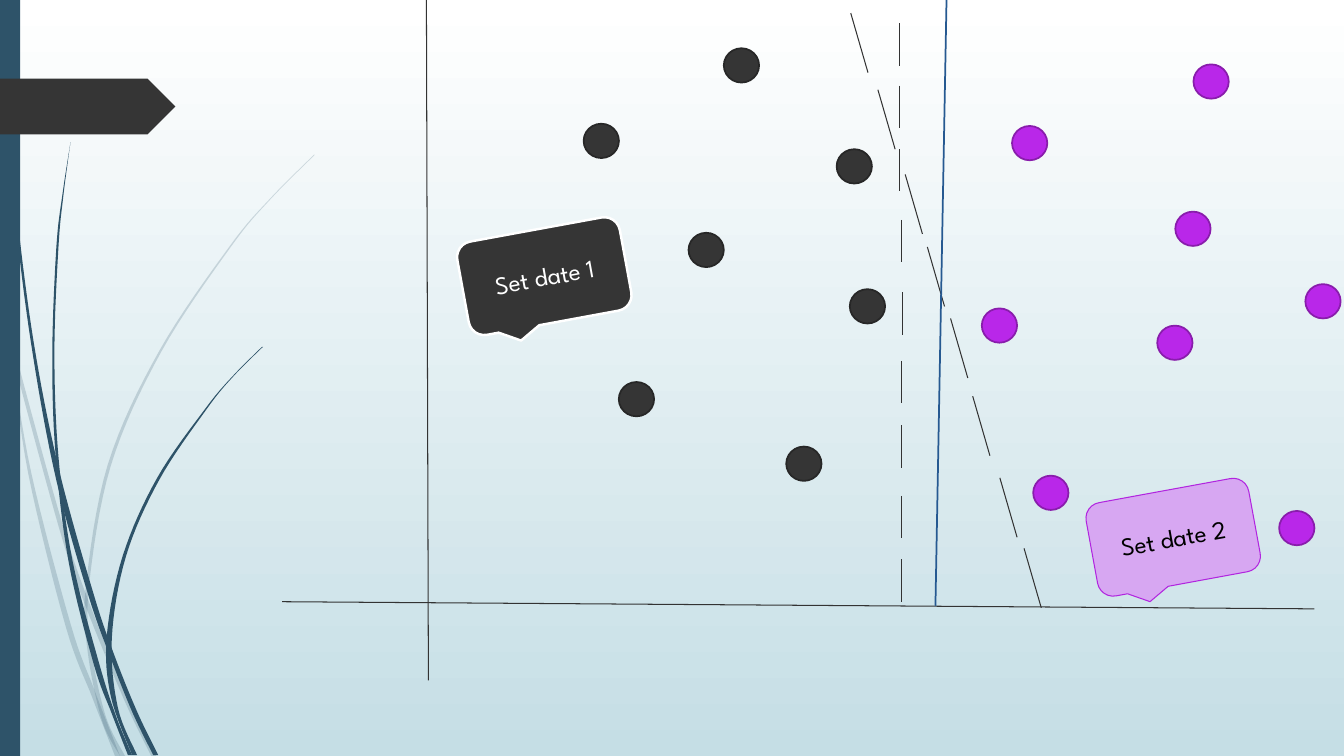
from lxml import etree
from pptx import Presentation
from pptx.dml.color import RGBColor
from pptx.enum.shapes import MSO_CONNECTOR, MSO_SHAPE
from pptx.enum.text import MSO_ANCHOR, PP_ALIGN
from pptx.oxml.ns import qn
from pptx.util import Pt

STRAIGHT = MSO_CONNECTOR.STRAIGHT
RECTANGLE, ELLIPSE = MSO_SHAPE.RECTANGLE, MSO_SHAPE.OVAL
ARROW_TAB, CALLOUT = MSO_SHAPE.PENTAGON, MSO_SHAPE.ROUNDED_RECTANGULAR_CALLOUT
CENTER, MIDDLE = PP_ALIGN.CENTER, MSO_ANCHOR.MIDDLE

# Content: all lengths in points
SLIDE_WIDTH, SLIDE_HEIGHT = 960, 540
FONT = "League Spartan"
TEAL, CHARCOAL, THIN_LINE = "2E5369", "353535", "333333"
BACKGROUND = ("FFFFFF", "C5DEE5")

# Grass blades: left edge and right edge, each from tip to root
PALE_BLADES = [
    ([(0, 215.3), (7.2, 247.7), (41.8, 375.8), (60.5, 431.3), (88.6, 499.7), (108, 540)],
     [(0, 203), (10.1, 248.4), (44.6, 374.4), (66.2, 437), (91.4, 498.2), (111.6, 540)]),
    ([(7.9, 252), (20.2, 338.4), (46.8, 447.1), (66.2, 499), (82.1, 540)],
     [(7.9, 252), (22.3, 337.7), (50.4, 445.7), (67, 491.8), (85.7, 540)]),
    ([(224.6, 110.2), (193, 141.8), (164.2, 175.7), (113.8, 250.6), (77, 331.9),
      (61.2, 420.5), (62.6, 465.1), (72.7, 514.1), (85.7, 540)],
     [(224.6, 110.9), (193, 142.6), (164.9, 176.4), (115.2, 251.3), (79.2, 332.6),
      (63.4, 420.5), (65.5, 465.1), (75.6, 511.9), (89.3, 540)]),
]
DARK_BLADES = [
    ([(2.2, 0), (5, 79.2), (12.2, 167.8), (23.8, 255.6), (40.3, 343.4),
      (63.4, 426.2), (79.9, 472.3), (95, 509.8), (109.4, 539.3)],
     [(2.9, 0), (5.8, 78.5), (13.7, 167), (25.9, 255.6), (43.2, 339.8),
      (67, 424.8), (81.4, 467.3), (97.9, 508.3), (113, 539.3)]),
    ([(50.4, 101.5), (44.6, 139), (40.3, 176.4), (37.4, 251.3), (39.6, 323.3),
      (49, 401), (67, 474.5), (79.9, 509.8), (91.4, 539.3)],
     [(50.4, 101.5), (45.4, 139), (41.8, 176.4), (38.9, 251.3), (41.8, 326.2),
      (51.8, 400.3), (70.6, 473), (82.8, 511.2), (94.3, 539.3)]),
    ([(187.2, 247.7), (166.3, 268.6), (146.9, 291.6), (112.3, 341.3), (87.8, 396.7),
      (76.3, 454.3), (79.2, 497.5), (94.3, 539.3)],
     [(187.9, 247.7), (166.3, 269.3), (147.6, 292.3), (113.8, 342.7), (90, 397.4),
      (79.9, 455.8), (84.2, 505.4), (97.9, 539.3)]),
]

DOT_SIZE = (25.2, 24.5)
DOT_SETS = [
    dict(fill=CHARCOAL, line="272727", corners=[
        (517, 34.5), (491.8, 166.3), (607, 206.6), (597.6, 106.6),
        (416.9, 88.4), (561.6, 319), (442, 272.9)]),
    dict(fill="B927E9", line="891DAC", corners=[
        (701.3, 220.3), (839.5, 151.2), (722.9, 90), (738, 339.8),
        (826.6, 232.6), (852.5, 46), (913.7, 365), (932.4, 203)]),
]

AXES = [((304.6, 0), (306, 486)), ((201.6, 429.8), (938.9, 434.9))]
SEPARATOR = ((676.1, 0), (668.2, 432.7))
DASH_RUNS = [
    dict(step=(0, 30.2), starts=[
        (642.2, 16.6), (642.2, 61.2), (642.2, 106.6), (643.7, 157), (644.4, 208.8),
        (643.7, 257.8), (643.7, 303.8), (643.7, 354.2), (643.7, 399.6)]),
    dict(step=(12.3, 42.5), starts=[
        (607.7, 9.4), (627.1, 64.1), (646.6, 124.6), (662.4, 176.4),
        (679, 227.5), (694.8, 283), (714.2, 341.3), (731.5, 391.7)]),
]

CALLOUT_SIZE, CALLOUT_ROTATION = (118.1, 67.7), 349.6
CALLOUTS = [
    ("Set date 1", (329.8, 163.4), CHARCOAL, "FFFFFF", 1.75, "FFFFFF"),
    ("Set date 2", (779, 349.9), "D7A7F2", "B125DF", 0.75, "000000"),
]


def color(hex_value):
    return RGBColor.from_string(hex_value)


def paint(shape, fill, line=None, width=1.25, opacity=None):
    shape.shadow.inherit = False
    shape.fill.solid()
    shape.fill.fore_color.rgb = color(fill)
    if opacity is not None:
        tint = shape.fill._xPr.find(qn("a:solidFill"))[0]
        etree.SubElement(tint, qn("a:alpha")).set("val", str(opacity * 1000))
    if line:
        shape.line.color.rgb = color(line)
        shape.line.width = Pt(width)
    else:
        shape.line.fill.background()


def add_preset(slide, kind, corner, size, **style):
    shape = slide.shapes.add_shape(kind, *map(Pt, corner + size))
    paint(shape, **style)
    return shape


def add_line(slide, start, end, line=THIN_LINE, width=0.75):
    connector = slide.shapes.add_connector(STRAIGHT, *map(Pt, start + end))
    connector.line.color.rgb = color(line)
    connector.line.width = Pt(width)
    etree.SubElement(connector._element.spPr, qn("a:effectLst"))


def smooth_curve(points, samples=8):
    """Catmull-Rom curve through the points."""
    padded = [points[0], *points, points[-1]]
    curve = []
    for a, b, c, d in zip(padded, padded[1:], padded[2:], padded[3:]):
        for index in range(samples):
            t = index / samples
            curve.append(tuple(
                q + t * (r - p) / 2 + t * t * (p - 2.5 * q + 2 * r - s / 2)
                + t ** 3 * (s - p + 3 * (q - r)) / 2
                for p, q, r, s in zip(a, b, c, d)))
    return curve + [points[-1]]


def add_blade(slide, left_edge, right_edge, opacity=None):
    outline = smooth_curve(left_edge) + smooth_curve(right_edge)[::-1]
    outline = [(Pt(x), Pt(y)) for x, y in outline]
    builder = slide.shapes.build_freeform(*outline[0])
    builder.add_line_segments(outline[1:], close=True)
    paint(builder.convert_to_shape(), TEAL, opacity=opacity)


def write(shape, text, *, size, font, ink):
    frame = shape.text_frame
    frame.word_wrap = True
    frame.vertical_anchor = MIDDLE
    paragraph = frame.paragraphs[0]
    paragraph.alignment = CENTER
    run = paragraph.add_run()
    run.text = text
    run.font.size = Pt(size)
    run.font.name = font
    run.font.color.rgb = color(ink)


def main():
    presentation = Presentation()
    presentation.slide_width = Pt(SLIDE_WIDTH)
    presentation.slide_height = Pt(SLIDE_HEIGHT)
    slide = presentation.slides.add_slide(presentation.slide_layouts[6])

    # Background gradient, top to bottom
    fill = slide.background.fill
    fill.gradient()
    fill.gradient_angle = 270
    for stop, hex_value in zip(fill.gradient_stops, BACKGROUND):
        stop.color.rgb = color(hex_value)

    # Grass, side band and arrow tab
    for edges in PALE_BLADES:
        add_blade(slide, *edges, opacity=20)
    for edges in DARK_BLADES:
        add_blade(slide, *edges)
    add_preset(slide, RECTANGLE, (0, 0), (14.4, SLIDE_HEIGHT), fill=TEAL)
    add_preset(slide, ARROW_TAB, (0, 56.2), (125.3, 39.8), fill=CHARCOAL)

    # Axes and data points
    for start, end in AXES:
        add_line(slide, start, end)
    for dots in DOT_SETS:
        for corner in dots["corners"]:
            add_preset(slide, ELLIPSE, corner, DOT_SIZE, fill=dots["fill"], line=dots["line"])

    # Dashed candidates and the chosen separator
    for dashes in DASH_RUNS:
        step_x, step_y = dashes["step"]
        for x, y in dashes["starts"]:
            add_line(slide, (x, y), (x + step_x, y + step_y))
    add_line(slide, *SEPARATOR, line="265991", width=1.25)

    # Set labels
    for text, corner, fill_hex, line, width, ink in CALLOUTS:
        callout = add_preset(slide, CALLOUT, corner, CALLOUT_SIZE,
                             fill=fill_hex, line=line, width=width)
        callout.rotation = CALLOUT_ROTATION
        write(callout, text, size=18, font=FONT, ink=ink)

    presentation.save("out.pptx")


if __name__ == "__main__":
    main()
